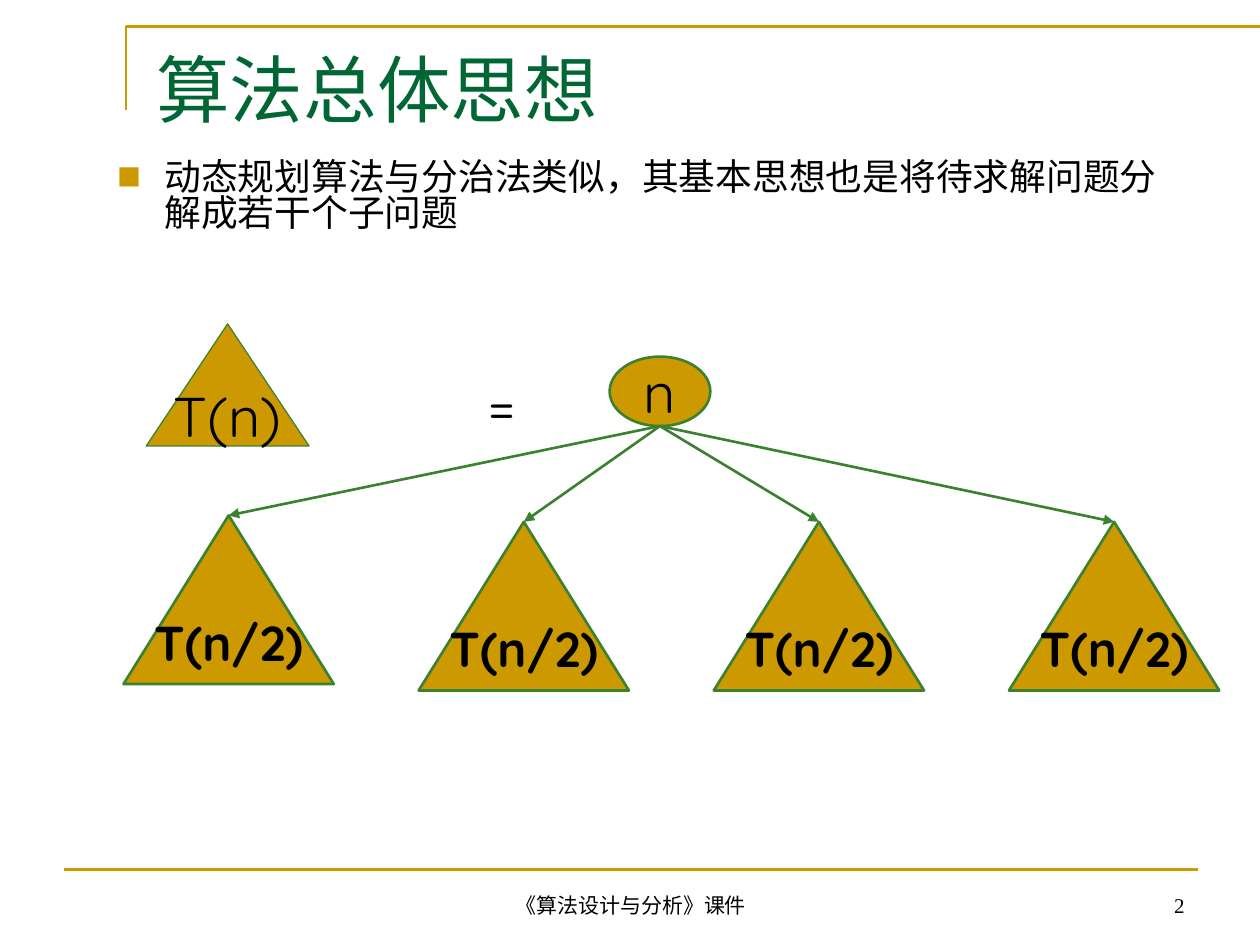
"""Build the slide on the general idea of dynamic programming."""
import dataclasses
import typing

import lxml.etree
import pptx
import pptx.dml.color
import pptx.enum.shapes
import pptx.enum.text
import pptx.oxml
import pptx.oxml.ns
import pptx.util

Cm = pptx.util.Cm
Pt = pptx.util.Pt
Align = pptx.enum.text.PP_ALIGN
Anchor = pptx.enum.text.MSO_ANCHOR
Kind = pptx.enum.shapes.MSO_SHAPE
qn = pptx.oxml.ns.qn


@dataclasses.dataclass(frozen=True)
class Theme:
    """Colours, fonts and sizes of the slide."""
    gold: str = "CC9900"
    edge: str = "3B812F"
    head: str = "006633"
    ink: str = "000000"
    serif: str = "Times New Roman"
    round: str = "Quicksand"
    han: str = "Noto Sans CJK SC"
    title: float = 42
    body: float = 21
    node: float = 32
    leaf: float = 28
    foot: float = 12
    thin: float = 0.75
    line: float = 1.5


class Box(typing.NamedTuple):
    """Left, top, width and height in centimetres."""
    x: float
    y: float
    w: float
    h: float

    def emu(self) -> list:
        """Return the four lengths for python-pptx."""
        return [Cm(v) for v in self]


@dataclasses.dataclass(frozen=True)
class Label:
    """Text with its look."""
    text: str
    size: float
    font: str
    color: str = "000000"
    bold: bool = False
    align: Align = Align.CENTER
    anchor: Anchor = Anchor.TOP
    wrap: bool = True


@dataclasses.dataclass(frozen=True)
class Node:
    """One filled shape of the tree."""
    kind: Kind
    box: Box
    label: Label
    width: float


THEME = Theme()


def rgb(code: str) -> pptx.dml.color.RGBColor:
    """Turn a hex code into a colour."""
    return pptx.dml.color.RGBColor.from_string(code)


def write(shape, label: Label):
    """Put a label in a shape and return its paragraph."""
    frame = shape.text_frame
    frame.text = label.text
    frame.word_wrap = label.wrap
    frame.auto_size = pptx.enum.text.MSO_AUTO_SIZE.NONE
    frame.vertical_anchor = label.anchor
    para = frame.paragraphs[0]
    para.alignment = label.align
    for run in para.runs:
        font = run.font
        font.size, font.bold, font.name = Pt(label.size), label.bold, label.font
        font.color.rgb = rgb(label.color)
        east = lxml.etree.Element(qn("a:ea"), typeface=THEME.han)
        run._r.rPr.find(qn("a:latin")).addnext(east)
    return para


def place(shape, box: Box) -> None:
    """Move and size a placeholder."""
    shape.left, shape.top, shape.width, shape.height = box.emu()


def note(slide, box: Box, label: Label):
    """Add a text box and return its paragraph."""
    return write(slide.shapes.add_textbox(*box.emu()), label)


def draw(slide, node: Node):
    """Add a tree node."""
    shape = slide.shapes.add_shape(node.kind, *node.box.emu())
    shape.shadow.inherit = False
    shape.fill.solid()
    shape.fill.fore_color.rgb = rgb(THEME.gold)
    shape.line.color.rgb = rgb(THEME.edge)
    shape.line.width = Pt(node.width)
    write(shape, node.label)
    return shape


def link(slide, start: tuple, end: tuple, color: str):
    """Add a straight line without shadow."""
    straight = pptx.enum.shapes.MSO_CONNECTOR.STRAIGHT
    line = slide.shapes.add_connector(straight, *start, *end)
    line.line.color.rgb = rgb(color)
    line.line.width = Pt(THEME.line)
    lxml.etree.SubElement(line._element.spPr, qn("a:effectLst"))
    return line


def arrow(slide, start: tuple, leaf) -> None:
    """Point an arrow at the tip of a leaf."""
    tip = (leaf.left + leaf.width // 2, leaf.top)
    line = link(slide, start, tip, THEME.edge)
    line.end_connect(leaf, 0)
    lxml.etree.SubElement(line.line._get_or_add_ln(), qn("a:tailEnd"), type="triangle")


def bullet(para) -> None:
    """Give a paragraph a gold square bullet and a hanging indent."""
    para.space_before = Pt(5.2)
    para.line_spacing = 0.83
    props = para._p.get_or_add_pPr()
    props.set("marL", str(Cm(0.95)))
    props.set("indent", str(-Cm(0.95)))
    color = lxml.etree.SubElement(props, qn("a:buClr"))
    lxml.etree.SubElement(color, qn("a:srgbClr"), val=THEME.gold)
    lxml.etree.SubElement(props, qn("a:buSzPct"), val="65000")
    lxml.etree.SubElement(props, qn("a:buFont"), typeface=THEME.han)
    lxml.etree.SubElement(props, qn("a:buChar"), char="■")


def trim(slide) -> None:
    """Draw the gold corner and the bottom rule."""
    pen = slide.shapes.build_freeform(Cm(2.54), Cm(2.21))
    pen.add_line_segments([(Cm(2.54), Cm(0.53)), (Cm(25.4), Cm(0.53))], close=False)
    edge = pen.convert_to_shape()
    edge.shadow.inherit = False
    edge.fill.background()
    edge.line.color.rgb = rgb(THEME.gold)
    edge.line.width = Pt(THEME.line)
    link(slide, (Cm(1.3), Cm(17.53)), (Cm(24.16), Cm(17.53)), THEME.gold)


def tree(slide) -> None:
    """Draw the problem and its four subproblems."""
    big = Label("T(n)", THEME.node, THEME.round, anchor=Anchor.MIDDLE, wrap=False)
    small = dataclasses.replace(big, text="T(n/2)", size=THEME.leaf, bold=True)
    top = dataclasses.replace(big, text="n")
    root = draw(slide, Node(Kind.OVAL, Box(12.29, 7.19, 2.03, 1.4), top, THEME.line))
    start = (root.left + root.width // 2, root.top + root.height)
    for i, y in enumerate((10.39, 10.52, 10.52, 10.52)):
        box = Box(2.49 + 5.95 * i, y, 4.24, 3.4)
        leaf = draw(slide, Node(Kind.ISOSCELES_TRIANGLE, box, small, THEME.line))
        arrow(slide, start, leaf)
    whole = Box(2.95, 6.53, 3.28, 2.46)
    draw(slide, Node(Kind.ISOSCELES_TRIANGLE, whole, big, THEME.thin))
    equal = Label("=", THEME.node, THEME.round)
    note(slide, Box(8.76, 7.32, 2.72, 1.63), equal).space_before = Pt(20)


def main() -> None:
    """Build and save the deck."""
    deck = pptx.Presentation()
    deck.slide_width, deck.slide_height = Cm(25.4), Cm(19.05)
    slide = deck.slides.add_slide(deck.slide_layouts[1])
    trim(slide)
    title, body = slide.shapes.title, slide.placeholders[1]
    place(title, Box(2.9, 0.76, 19.81, 2.36))
    write(title, Label("算法总体思想", THEME.title, THEME.serif, THEME.head, align=Align.LEFT))
    place(body, Box(2.11, 3.12, 21.59, 11.43))
    idea = "动态规划算法与分治法类似，其基本思想也是将待求解问题分解成若干个子问题"
    bullet(write(body, Label(idea, THEME.body, THEME.han, align=Align.LEFT)))
    tree(slide)
    foot = Label("《算法设计与分析》课件", THEME.foot, THEME.serif, anchor=Anchor.BOTTOM)
    note(slide, Box(8.69, 17.73, 8.05, 0.89), foot)
    page = dataclasses.replace(foot, text="2", align=Align.RIGHT)
    note(slide, Box(18.21, 17.73, 5.92, 0.89), page)
    deck.save("out.pptx")


if __name__ == "__main__":
    main()
